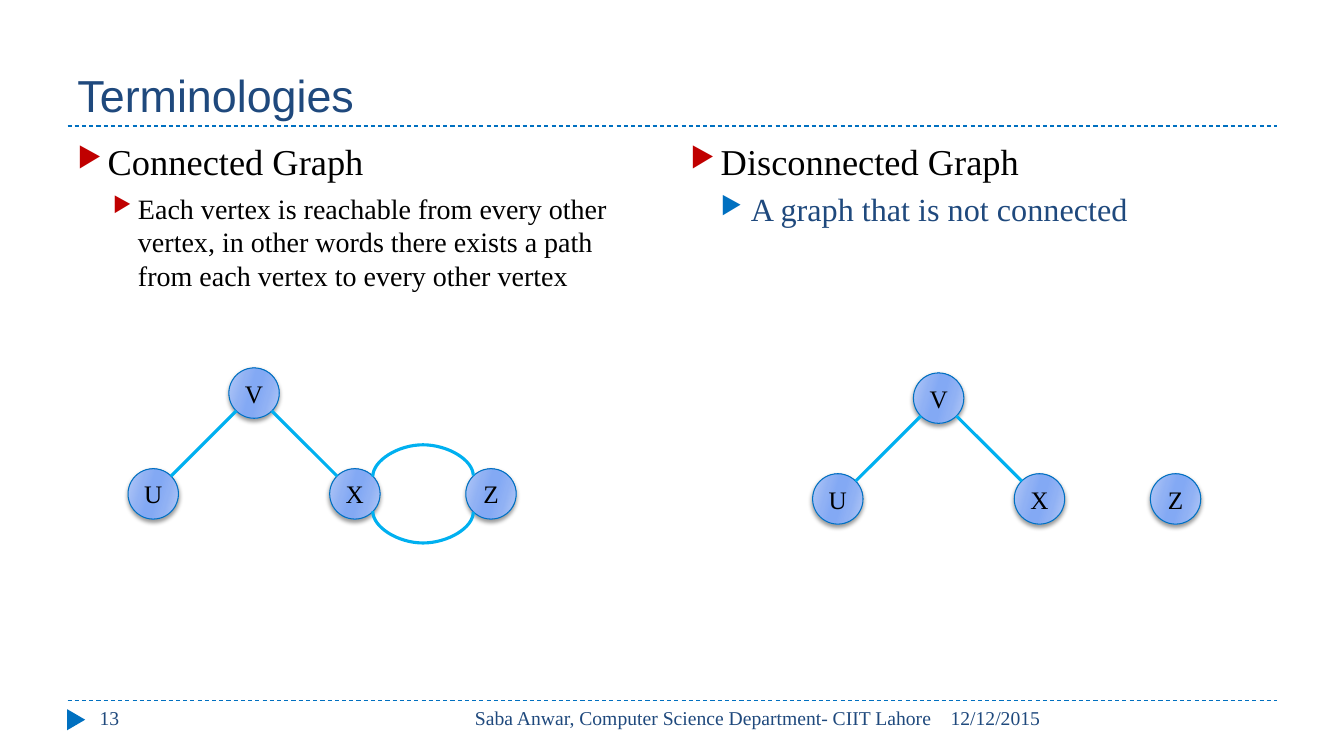
import math
import pptx
import pptx.dml.color
import pptx.enum.dml
import pptx.enum.shapes
import pptx.enum.text
import pptx.oxml.ns
import pptx.util
from lxml import etree

SHAPE = pptx.enum.shapes.MSO_SHAPE
LINK = pptx.enum.shapes.MSO_CONNECTOR
ALIGN = pptx.enum.text.PP_ALIGN
ANCHOR = pptx.enum.text.MSO_ANCHOR
DASH = pptx.enum.dml.MSO_LINE.DASH
qn = pptx.oxml.ns.qn
Inches, Pt = pptx.util.Inches, pptx.util.Pt

WIDTH, HEIGHT = 13.33, 7.5
MARGIN, CONTENT = 0.67, 12
CELL = 0.5  # graph grid cell, equal to a node's diameter


class Theme:
    blue, navy, red, black, edge = "0070C0", "1F497D", "C00000", "000000", "00B0F0"
    node = [(0, "B4C9F6"), (30, "90B1F4"), (45, "83A9F4"),
            (55, "83A9F4"), (73, "90B1F4"), (100, "B4C9F6")]
    title = {"name": "Arial", "size": 32, "color": navy}
    topic = {"name": "Times New Roman", "size": 26, "color": black}
    detail = {**topic, "size": 20}
    remark = {**topic, "size": 23, "color": navy}
    label = {**topic, "size": 18}
    footer = {**topic, "size": 14, "color": navy}


def rgb(value):
    return pptx.dml.color.RGBColor.from_string(value)


def sub(parent, tag, **attrs):
    return etree.SubElement(parent, qn(tag), {k: str(v) for k, v in attrs.items()})


def write(p, text, style):
    r = p.add_run()
    r.text = text
    formats = {"name": style["name"], "size": Pt(style["size"]), "bold": False}
    for key, value in formats.items():
        setattr(r.font, key, value)
    r.font.color.rgb = rgb(style["color"])


def text_box(shapes, box, text="", style=None, align=ALIGN.LEFT, anchor=ANCHOR.TOP):
    tf = shapes.add_textbox(*map(Inches, box)).text_frame
    for key, value in {"word_wrap": True, "vertical_anchor": anchor}.items():
        setattr(tf, key, value)
    tf.paragraphs[0].alignment = align
    if text:
        write(tf.paragraphs[0], text, style)
    return tf


def line(shapes, kind, start, end, color, width):
    c = shapes.add_connector(kind, *map(Inches, (*start, *end)))
    c.line.color.rgb = rgb(color)
    c.line.width = Pt(width)
    sub(c._element.spPr, "a:effectLst")
    return c


# Title and the two dashed rules
def header(shapes, box):
    text_box(shapes, box, "Terminologies", Theme.title, anchor=ANCHOR.BOTTOM)


def rule(shapes, y):
    c = line(shapes, LINK.STRAIGHT, (MARGIN, y), (MARGIN + CONTENT, y), Theme.blue, 0.75)
    c.line.dash_style = DASH


# Footer: marker, page number, author, date
def footer(shapes, box):
    x, y, w, h = box
    s = shapes.add_shape(SHAPE.ISOSCELES_TRIANGLE,
                         *map(Inches, (x - 0.02, y + 0.1, 0.21, 0.18)))
    s.rotation = 90
    s.shadow.inherit = False
    s.fill.solid()
    s.fill.fore_color.rgb = rgb(Theme.blue)
    s.line.fill.background()
    for left, width, text, align in (
            (0.22, 2.89, "13", ALIGN.LEFT),
            (3.56, 5.11, "Saba Anwar, Computer Science Department- CIIT Lahore", ALIGN.RIGHT),
            (8.66, 3.34, "12/12/2015", ALIGN.LEFT)):
        text_box(shapes, (x + left, y, width, h), text, Theme.footer, align)


# Column of bulleted text: (text, style, bullet colour, margin, hanging, space before)
def column(shapes, box, items):
    tf = text_box(shapes, box)
    for i, (text, style, color, margin, hanging, before) in enumerate(items):
        p = tf.add_paragraph() if i else tf.paragraphs[0]
        p.level = 1 if i else 0
        pPr = p._p.get_or_add_pPr()
        pPr.set("marL", str(Inches(margin)))
        pPr.set("indent", str(-Inches(hanging)))
        sub(sub(pPr, "a:buClr"), "a:srgbClr", val=color)
        sub(pPr, "a:buSzPct", val=76000)
        sub(pPr, "a:buChar", char="▶")
        p.space_before = Pt(before)
        write(p, text, style)


# Graph node: gradient disc with a soft shadow
def node(shapes, center, name):
    x, y = center
    s = shapes.add_shape(SHAPE.OVAL, *map(Inches, (x - CELL / 2, y - CELL / 2, CELL, CELL)))
    s.fill.gradient()
    s.fill.gradient_angle = 344
    stops = s._element.spPr.find(".//" + qn("a:gsLst"))
    for stop in list(stops):
        stops.remove(stop)
    for pos, color in Theme.node:
        sub(sub(stops, "a:gs", pos=pos * 1000), "a:srgbClr", val=color)
    s.line.color.rgb = rgb(Theme.blue)
    s.line.width = Pt(0.75)
    s.shadow.inherit = False
    shade = sub(s._element.spPr.find(qn("a:effectLst")), "a:outerShdw", blurRad=Pt(3),
                dist=Pt(2), dir=90 * 60000, rotWithShape=0)
    sub(sub(shade, "a:srgbClr", val=Theme.black), "a:alpha", val=40000)
    tf = s.text_frame
    for key, value in {"word_wrap": False, "vertical_anchor": ANCHOR.MIDDLE}.items():
        setattr(tf, key, value)
    tf.paragraphs[0].alignment = ALIGN.CENTER
    write(tf.paragraphs[0], name, Theme.label)


# Curved edge that bulges up or down between two points of about equal height
def curved_edge(shapes, start, end, up):
    thin, bulge = 0.01, 0.32
    span = end[0] - start[0]
    c = line(shapes, LINK.CURVE, start, end, Theme.edge, 2.25)
    frame = {"left": (start[0] + end[0] - thin) / 2, "top": start[1] - span / 2,
             "width": thin, "height": span}
    for key, value in frame.items():
        setattr(c, key, Inches(value))
    xfrm = c._element.spPr.find(qn("a:xfrm"))
    turn = {"rot": (90 if up else 270) * 60000, "flipH": 1, "flipV": int(up)}
    for key, value in turn.items():
        xfrm.set(key, str(value))
    geom = c._element.spPr.find(qn("a:prstGeom"))
    guides = geom.find(qn("a:avLst"))
    if guides is None:
        guides = sub(geom, "a:avLst")
    sub(guides, "a:gd", name="adj1", fmla=f"val {round(bulge / thin * 100000)}")


# Graph: nodes on a grid of cells, edges meeting the discs at 45 degrees
def graph(shapes, origin, joined):
    g = shapes.add_group_shape().shapes
    cells = {"X": (4, 2), "U": (0, 2), "V": (2, 0), "Z": (6.7, 2)}
    centers = {n: (origin[0] + (c + 0.5) * CELL, origin[1] + (r + 0.5) * CELL)
               for n, (c, r) in cells.items()}
    for name, center in centers.items():
        node(g, center, name)
    reach = CELL / 2 * math.sqrt(0.5)

    def port(name, dx, dy):
        x, y = centers[name]
        return x + dx * reach, y + dy * reach

    for name, side in (("U", -1), ("X", 1)):
        line(g, LINK.STRAIGHT, port("V", side, 1), port(name, -side, -1), Theme.edge, 2.25)
    if joined:
        for side in (1, -1):
            curved_edge(g, port("X", 1, side), port("Z", -1, side), side < 0)


def main():
    prs = pptx.Presentation()
    prs.slide_width, prs.slide_height = Inches(WIDTH), Inches(HEIGHT)
    shapes = prs.slides.add_slide(prs.slide_layouts[6]).shapes
    for y in (6.95, 1.25):
        rule(shapes, y)
    header(shapes, (MARGIN, 0.25, CONTENT, 1))
    footer(shapes, (MARGIN, 6.95, CONTENT, 0.4))
    column(shapes, (MARGIN, 1.33, 5.89, 5.4), [
        ("Connected Graph", Theme.topic, Theme.red, 0.3, 0.3, 0),
        ("Each vertex is reachable from every other vertex, in other words there "
         "exists a path from each vertex to every other vertex",
         Theme.detail, Theme.red, 0.6, 0.25, 6)])
    column(shapes, (6.75, 1.33, 5.89, 5.4), [
        ("Disconnected Graph", Theme.topic, Theme.red, 0.3, 0.3, 0),
        ("A graph that is not connected", Theme.remark, Theme.blue, 0.6, 0.3, 5)])
    graph(shapes, (1.27, 3.65), joined=True)
    graph(shapes, (8.06, 3.7), joined=False)
    prs.save("out.pptx")


if __name__ == "__main__":
    main()
